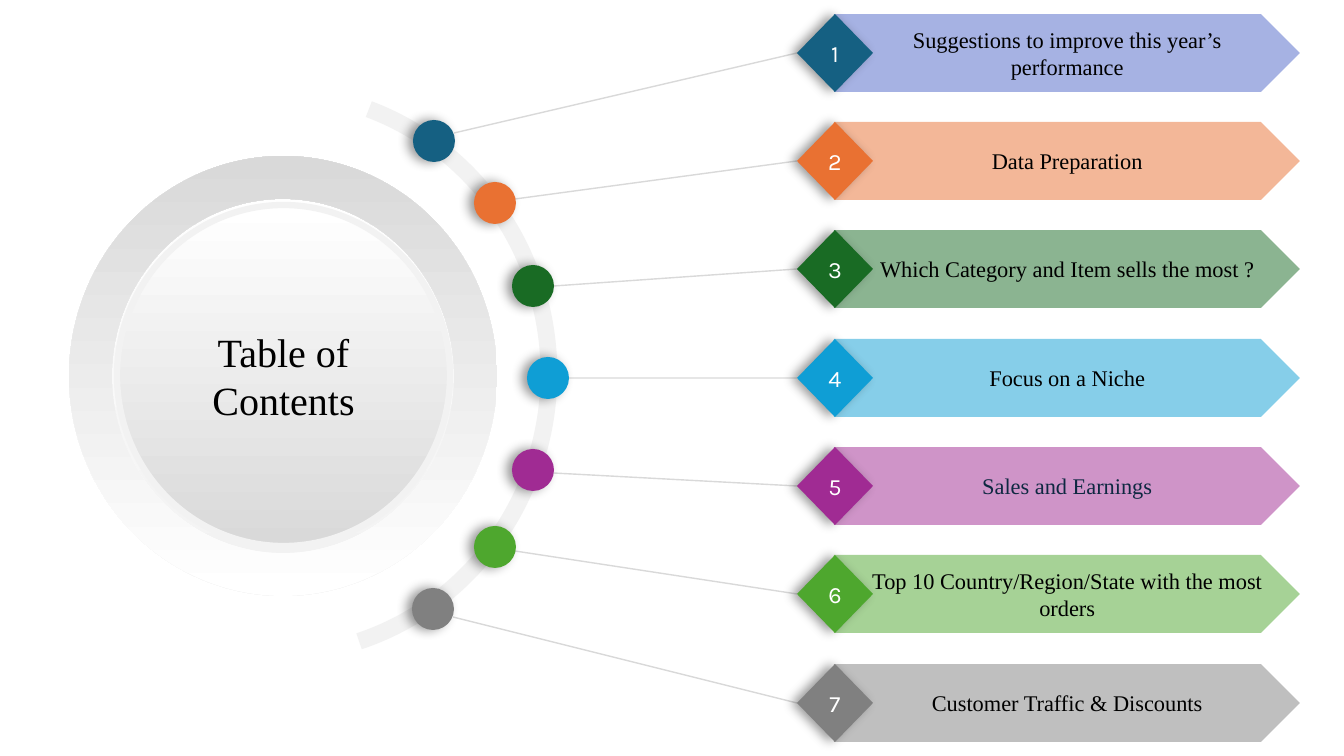
from lxml import etree
from pptx import Presentation
from pptx.dml.color import RGBColor
from pptx.enum.shapes import MSO_CONNECTOR, MSO_SHAPE as Preset
from pptx.enum.text import MSO_ANCHOR, PP_ALIGN
from pptx.oxml.ns import qn
from pptx.util import Pt

EMU_PER_PX = 914400 / 100.8
SERIF = "Times New Roman"
DOT = 42
TOPICS = [
    ("Suggestions to improve this year’s performance", "156082", "4E67C8", "000000", (434, 141), (454, 133)),
    ("Data Preparation", "E97132", "E97132", "000000", (495, 203), (515, 199)),
    ("Which Category and Item sells the most ?", "196B24", "196B24", "000000", (533, 286), (554, 286)),
    ("Focus on a Niche", "0F9ED5", "0F9ED5", "000000", (548, 378), (569, 378)),
    ("Sales and Earnings", "A02B93", "A02B93", "0E2841", (533, 470), (553, 473)),
    ("Top 10 Country/Region/State with the most orders", "4EA72E", "4EA72E", "000000", (495, 547), (515, 551)),
    ("Customer Traffic & Discounts", "808080", "808080", "000000", (433, 609), (453, 617)),
]


def px(length):
    """Turn pixels into EMU."""
    return round(length * EMU_PER_PX)


def color(hex_string):
    """Turn a hex string into a colour."""
    return RGBColor.from_string(hex_string)


def add_preset(slide, preset, box, fill=None):
    """Add a plain preset shape without outline or shadow."""
    shape = slide.shapes.add_shape(preset, *map(px, box))
    shape.shadow.inherit = False
    shape.line.fill.background()
    if fill:
        shape.fill.solid()
        shape.fill.fore_color.rgb = color(fill)
    else:
        shape.fill.background()
    return shape


def fade(shape, percent):
    """Make a solid fill partly transparent."""
    srgb = shape._element.spPr.find(qn("a:solidFill")).find(qn("a:srgbClr"))
    etree.SubElement(srgb, qn("a:alpha"), val=str(percent * 1000))


def cast_shadow(shape):
    """Give a shape a soft shadow to its left."""
    effects = shape._element.spPr.find(qn("a:effectLst"))
    shadow = etree.SubElement(effects, qn("a:outerShdw"), blurRad=str(Pt(8)), dist=str(Pt(4)),
                              dir="10800000", algn="r", rotWithShape="0")
    black = etree.SubElement(shadow, qn("a:srgbClr"), val="000000")
    etree.SubElement(black, qn("a:alpha"), val="40000")


def shade(shape, start, end, angle):
    """Fill a shape with a two-colour gradient."""
    shape.fill.gradient()
    shape.fill.gradient_angle = angle
    for stop, stop_color, position in zip(shape.fill.gradient_stops, (start, end), (0, 1)):
        stop.color.rgb = color(stop_color)
        stop.position = position


def outline(shape, width):
    """Draw a pale grey outline."""
    shape.line.color.rgb = color("F2F2F2")
    shape.line.width = Pt(width)


def write(shape, text, font_name, size, text_color):
    """Write centred text in a shape."""
    frame = shape.text_frame
    frame.text = text
    frame.word_wrap = True
    frame.vertical_anchor = MSO_ANCHOR.MIDDLE
    paragraph = frame.paragraphs[0]
    paragraph.alignment = PP_ALIGN.CENTER
    font = paragraph.runs[0].font
    font.name, font.size = font_name, Pt(size)
    font.color.rgb = color(text_color)


def add_spoke(slide, start, end):
    """Draw a thin line from a dot to its topic."""
    spoke = slide.shapes.add_connector(MSO_CONNECTOR.STRAIGHT, *map(px, start + end))
    spoke.line.color.rgb = color("D9D9D9")
    spoke.line.width = Pt(1)
    etree.SubElement(spoke._element.spPr, qn("a:effectLst"))
    return spoke


def add_dial(slide, left, top, width, height):
    """Draw the title dial and the arc around it."""
    base = add_preset(slide, Preset.OVAL, (left, top, width, height))
    shade(base, "FFFFFF", "F2F2F2", 270)
    ring = add_preset(slide, Preset.DONUT, (left, top, width, height))
    ring.adjustments[0] = 0.1
    shade(ring, "FFFFFF", "D9D9D9", 90)
    title = add_preset(slide, Preset.OVAL, (left + 48, top + 49, width - 95, height - 99))
    shade(title, "FFFFFF", "D9D9D9", 270)
    outline(title, 4.5)
    write(title, "Table of Contents", SERIF, 28.6, "000000")
    arc = add_preset(slide, Preset.ARC, (left - 69, top - 64, width + 121, height + 123))
    arc.adjustments[0], arc.adjustments[1] = 173.79, 43.48
    outline(arc, 12)


def add_dot(slide, center, fill):
    """Draw a dot on the arc."""
    x, y = center
    cast_shadow(add_preset(slide, Preset.OVAL, (x - DOT // 2, y - DOT // 2, DOT, DOT), fill))


def add_topic(slide, box, number, topic, spoke):
    """Draw a numbered diamond over its banner and join the spoke to it."""
    left, top, width, height = box
    text, accent, banner_fill, text_color = topic[:4]
    banner = add_preset(slide, Preset.PENTAGON, (left + 37, top, width - 37, height), banner_fill)
    fade(banner, 50)
    banner.text_frame.margin_left = px(30)
    write(banner, text, SERIF, 16, text_color)
    diamond = add_preset(slide, Preset.DIAMOND, (left, top, 76, height), accent)
    cast_shadow(diamond)
    write(diamond, str(number), "Karla", 16.7, "FFFFFF")
    spoke.end_connect(diamond, 1)


def main():
    """Build the contents slide."""
    deck = Presentation()
    deck.slide_width, deck.slide_height = px(1344), px(756)
    slide = deck.slides.add_slide(deck.slide_layouts[6])
    boxes = [(797, 14 + i * 650 // 6, 503, 78) for i in range(len(TOPICS))]
    spokes = [add_spoke(slide, topic[5], (box[0], box[1] + box[3] // 2))
              for topic, box in zip(TOPICS, boxes)]
    add_dial(slide, 69, 156, 428, 440)
    for number, (topic, box, spoke) in enumerate(zip(TOPICS, boxes, spokes), 1):
        add_dot(slide, topic[4], topic[1])
        add_topic(slide, box, number, topic, spoke)
    deck.save("out.pptx")


if __name__ == "__main__":
    main()
